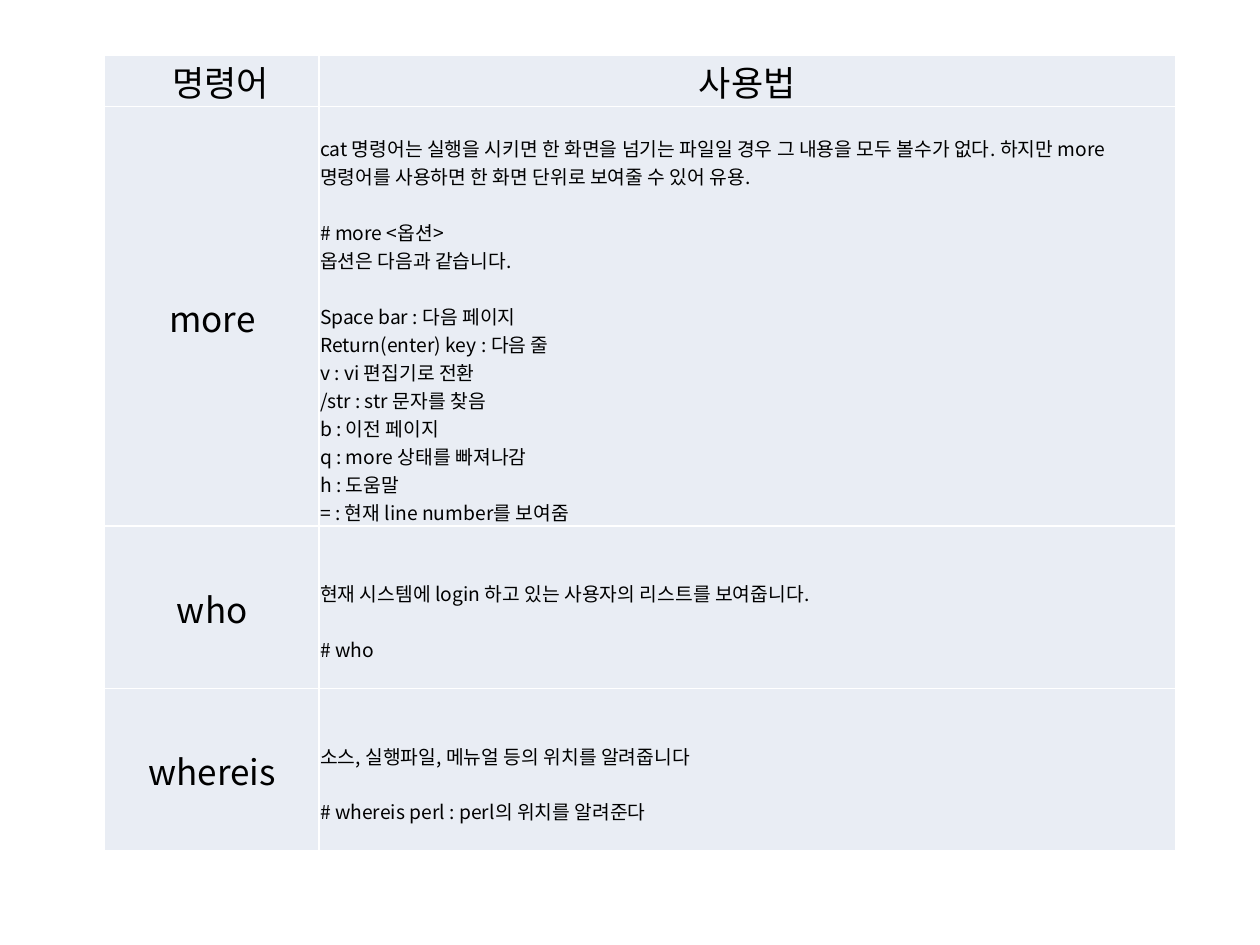
import pptx
import pptx.dml.color
import pptx.enum.text
import pptx.oxml
import pptx.oxml.ns
import pptx.util
from pptx.util import Inches

FONT = "Noto Sans CJK KR"
TEXT_COLOR = "000000"
CELL_COLOR = "E9EDF4"
BORDER_COLOR = "FFFFFF"
CENTER = pptx.enum.text.PP_ALIGN.CENTER
LEFT = pptx.enum.text.PP_ALIGN.LEFT
TITLE_SIZE, BODY_SIZE = 20, 11
BODY_LINE = 16  # height in points of one line of body text

HEADERS = ["명령어", "사용법"]
# Each command has groups of lines, set apart by one line of space.
COMMANDS = [
    ("more", [
        ["cat 명령어는 실행을 시키면 한 화면을 넘기는 파일일 경우 그 내용을 모두 볼수가 없다. "
         "하지만 more 명령어를 사용하면 한 화면 단위로 보여줄 수 있어 유용."],
        ["# more <옵션>", "옵션은 다음과 같습니다."],
        ["Space bar : 다음 페이지", "Return(enter) key : 다음 줄", "v : vi 편집기로 전환",
         "/str : str 문자를 찾음", "b : 이전 페이지", "q : more 상태를 빠져나감",
         "h : 도움말", "= : 현재 line number를 보여줌"],
    ]),
    ("who", [["현재 시스템에 login 하고 있는 사용자의 리스트를 보여줍니다."], ["# who"]]),
    ("whereis", [["소스, 실행파일, 메뉴얼 등의 위치를 알려줍니다"],
                 ["# whereis perl : perl의 위치를 알려준다"]]),
]
COLUMN_SHARES = [0.2, 0.8]
ROW_HEIGHTS = [0.4, 3.33, 1.29, 1.29]


def rgb(value):
    return pptx.dml.color.RGBColor.from_string(value)


def set_borders(cell):
    properties = cell._tc.get_or_add_tcPr()
    for index, side in enumerate(("lnL", "lnR", "lnT", "lnB")):
        properties.insert(index, pptx.oxml.parse_xml(
            f'<a:{side} {pptx.oxml.ns.nsdecls("a")} w="{pptx.util.Pt(1)}">'
            f'<a:solidFill><a:srgbClr val="{BORDER_COLOR}"/></a:solidFill></a:{side}>'))


def format_run(run, size):
    run.font.size = pptx.util.Pt(size)
    run.font.bold = False
    run.font.name = FONT
    run.font.color.rgb = rgb(TEXT_COLOR)
    east_asian = pptx.oxml.parse_xml(
        f'<a:ea {pptx.oxml.ns.nsdecls("a")} typeface="{FONT}"/>')
    run.font._element.find(pptx.oxml.ns.qn("a:latin")).addnext(east_asian)


def fill_cell(cell, groups, size, alignment, left=0.0, top=0.0):
    cell.margin_left, cell.margin_top = Inches(left), Inches(top)
    cell.margin_right = cell.margin_bottom = 0
    cell.vertical_anchor = pptx.enum.text.MSO_ANCHOR.MIDDLE
    cell.fill.solid()
    cell.fill.fore_color.rgb = rgb(CELL_COLOR)
    set_borders(cell)
    text_frame = cell.text_frame
    text_frame.text = "\n".join(line for group in groups for line in group)
    paragraphs = iter(text_frame.paragraphs)
    for group_index, group in enumerate(groups):
        for line_index in range(len(group)):
            paragraph = next(paragraphs)
            paragraph.alignment = alignment
            if group_index and not line_index:
                paragraph.space_before = pptx.util.Pt(BODY_LINE)
            for run in paragraph.runs:
                format_run(run, size)


def add_command_table(slide, left, top, width):
    shape = slide.shapes.add_table(len(COMMANDS) + 1, len(HEADERS), left, top,
                                   width, Inches(sum(ROW_HEIGHTS)))
    table = shape.table
    for column, share in zip(table.columns, COLUMN_SHARES):
        column.width = int(width * share)
    for row, height in zip(table.rows, ROW_HEIGHTS):
        row.height = Inches(height)

    for index, header in enumerate(HEADERS):
        fill_cell(table.cell(0, index), [[header]], TITLE_SIZE, CENTER,
                  left=0 if index else 0.14)
    for index, (command, usage) in enumerate(COMMANDS, start=1):
        fill_cell(table.cell(index, 0), [[command]], TITLE_SIZE, CENTER, 0.01, 0.01)
        fill_cell(table.cell(index, 1), usage, BODY_SIZE, LEFT, 0.01, 0.22)


def main():
    presentation = pptx.Presentation()
    presentation.slide_width, presentation.slide_height = Inches(10), Inches(7.5)
    slide = presentation.slides.add_slide(presentation.slide_layouts[6])
    add_command_table(slide, Inches(0.83), Inches(0.44), Inches(8.5))
    presentation.save("out.pptx")


if __name__ == "__main__":
    main()
